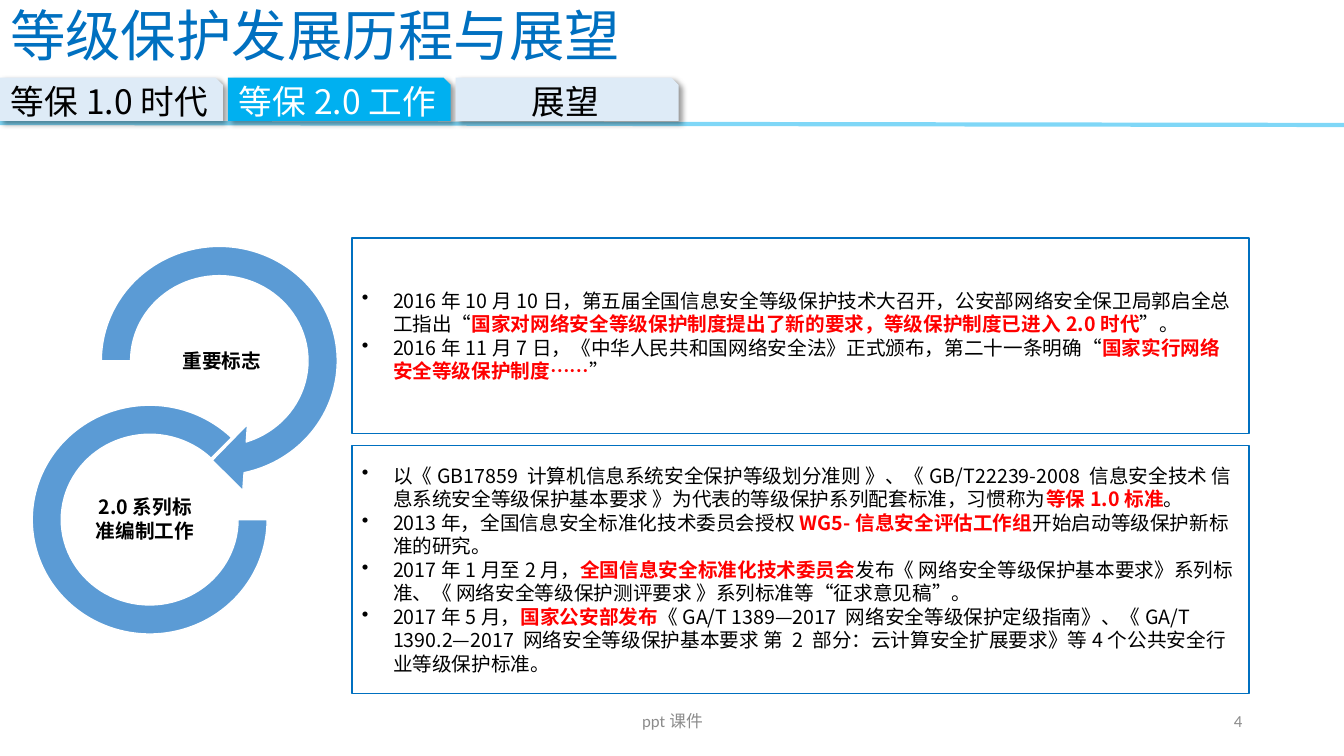
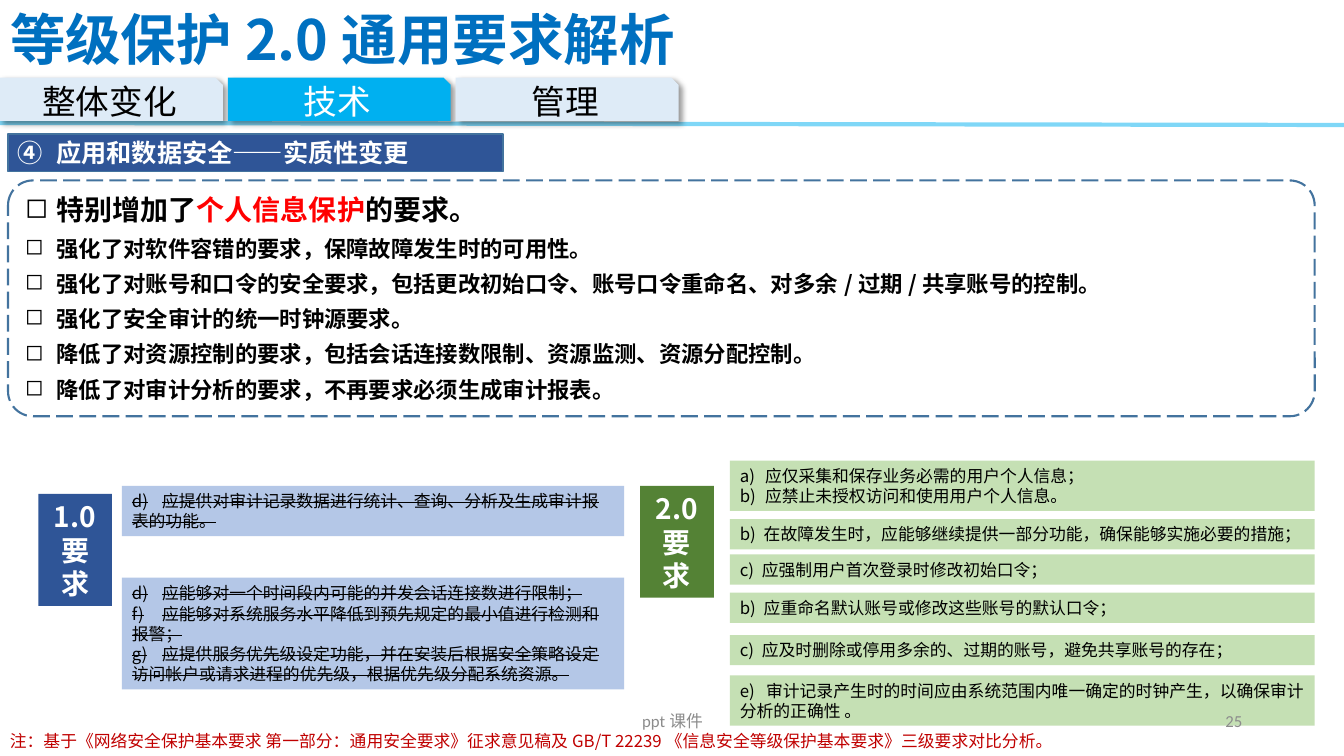
import lxml.etree
import pptx
import pptx.dml.color
import pptx.enum.dml
import pptx.enum.shapes
import pptx.enum.text
import pptx.oxml.ns
import pptx.util

EMU_PER_PX = 9144  # 100 px to the inch
COLORS = {
    "title": "0070C0", "accent": "00B0F0", "tab": "DEEBF7", "white": "FFFFFF",
    "black": "000000", "red": "FF0000", "note": "C00000", "footer": "8C8C8C",
    "ring": "5B9BD5", "outline": "43739E", "navy": "2F5597", "green": "548235",
    "old_card": "B4C7E7", "new_card": "C5E0B4",
}
FONT = "Noto Sans CJK SC"
FOOTER_FONT = "Calibri"

ALIGN = pptx.enum.text.PP_ALIGN
ANCHOR = pptx.enum.text.MSO_ANCHOR
SHAPE = pptx.enum.shapes.MSO_SHAPE

DOT = ("buChar", {"char": "•"})
SQUARE = ("buChar", {"char": "◻"})
LETTER = ("buAutoNum", {"type": "alphaLcParenR"})
CIRCLED_FOUR = ("buAutoNum", {"type": "circleNumDbPlain", "startAt": "4"})


def px(length):
    return pptx.util.Emu(length * EMU_PER_PX)


def rgb(name):
    return pptx.dml.color.RGBColor.from_string(COLORS[name])


def add_xml(parent, tag, **attributes):
    return lxml.etree.SubElement(parent, pptx.oxml.ns.qn("a:" + tag), attributes)


class Deck:
    """Holds the shared style and the slide being built."""

    def __init__(self):
        self.presentation = pptx.Presentation()
        self.presentation.slide_width = px(1333)
        self.presentation.slide_height = px(750)
        self.slide = None

    def add_slide(self, title, tabs, active_tab, bold=False, line_spacing=1.0):
        layout = self.presentation.slide_layouts[5]
        self.slide = self.presentation.slides.add_slide(layout)
        self.header_line()
        for index, label in enumerate(tabs):
            self.tab(index, label, index == active_tab)
        placeholder = self.slide.shapes.title
        placeholder.left, placeholder.top = px(0), px(1)
        placeholder.width, placeholder.height = px(861), px(75)
        self.set_text(placeholder, [[title]], 39.6, "title", bold=bold,
                      line_spacing=line_spacing)

    def header_line(self):
        line = self.slide.shapes.add_connector(
            pptx.enum.shapes.MSO_CONNECTOR.STRAIGHT, px(0), px(122), px(1333), px(124))
        line.line.width = pptx.util.Pt(3)
        line.line.color.rgb = rgb("accent")
        properties = line._element.spPr
        color = properties.find(".//" + pptx.oxml.ns.qn("a:srgbClr"))
        add_xml(color, "alpha", val="50000")
        add_xml(properties, "effectLst")

    def tab(self, index, label, active):
        shape = self.shape(SHAPE.SNIP_1_RECTANGLE, (226 * index, 77, 221, 43),
                           "accent" if active else "tab")
        effects = shape._element.spPr.find(pptx.oxml.ns.qn("a:effectLst"))
        shadow = add_xml(effects, "outerShdw", blurRad="50800", dist="38100",
                         dir="2700000", algn="tl", rotWithShape="0")
        add_xml(add_xml(shadow, "srgbClr", val=COLORS["black"]), "alpha", val="40000")
        self.set_text(shape, [[label]], 24, "white" if active else "black",
                      align=ALIGN.CENTER)

    def shape(self, kind, box, fill=None, line=None, width=1, adjustments=()):
        shape = self.slide.shapes.add_shape(kind, *map(px, box))
        shape.shadow.inherit = False
        for index, value in enumerate(adjustments):
            shape.adjustments[index] = value
        if fill:
            shape.fill.solid()
            shape.fill.fore_color.rgb = rgb(fill)
        else:
            shape.fill.background()
        if line:
            shape.line.color.rgb = rgb(line)
            shape.line.width = pptx.util.Pt(width)
        else:
            shape.line.fill.background()
        return shape

    def panel(self, box, paragraphs, size, color="black", fill=None, line=None, **style):
        shape = self.shape(SHAPE.RECTANGLE, box, fill, line)
        self.set_text(shape, paragraphs, size, color, **style)

    def label(self, box, text, size, color="black", margin=None, **style):
        shape = self.slide.shapes.add_textbox(*map(px, box))
        if margin is not None:
            frame = shape.text_frame
            frame.margin_left = frame.margin_right = px(margin)
            frame.margin_top = frame.margin_bottom = px(margin)
        self.set_text(shape, [[text]], size, color, **style)

    def footer(self, number):
        style = {"size": 12, "color": "footer", "font": FOOTER_FONT}
        self.label((942, 695, 300, 40), number, align=ALIGN.RIGHT, **style)
        self.label((442, 695, 450, 40), "ppt课件", align=ALIGN.CENTER, **style)

    def set_text(self, shape, paragraphs, size, color, first_size=None, bold=False,
                 bold_red=False, strike=False, font=FONT, align=ALIGN.LEFT,
                 anchor=ANCHOR.MIDDLE, bullet=None, indent=0, tab_stop=0,
                 space_after=0, line_spacing=None):
        """Each paragraph is a list of runs: plain and red in turn."""
        frame = shape.text_frame
        frame.word_wrap = True
        frame.auto_size = pptx.enum.text.MSO_AUTO_SIZE.NONE
        frame.vertical_anchor = anchor
        for number, texts in enumerate(paragraphs):
            paragraph = frame.add_paragraph() if number else frame.paragraphs[0]
            paragraph.alignment = align
            paragraph.space_after = pptx.util.Pt(space_after)
            if line_spacing:
                paragraph.line_spacing = line_spacing
            properties = paragraph._p.get_or_add_pPr()
            if bullet:
                properties.set("marL", str(px(indent)))
                properties.set("indent", str(-px(indent)))
                add_xml(properties, bullet[0], **bullet[1])
            if tab_stop:
                add_xml(add_xml(properties, "tabLst"), "tab", pos=str(px(tab_stop)), algn="l")
            for index, text in enumerate(texts):
                red = index % 2 == 1
                run = paragraph.add_run()
                run.text = text
                run.font.size = pptx.util.Pt(first_size if first_size and not number else size)
                run.font.bold = bold or (bold_red and red)
                run.font.color.rgb = rgb("red" if red else color)
                run.font.name = font
                run_properties = run._r.get_or_add_rPr()
                run_properties.set("lang", "zh-CN")
                if strike:
                    run_properties.set("strike", "sngStrike")
                add_xml(run_properties, "ea", typeface=font)


def build_history(deck):
    deck.add_slide("等级保护发展历程与展望", ["等保1.0时代", "等保2.0工作", "展望"], 1,
                   line_spacing=0.9)

    # Milestones and standards
    milestones = [
        ["2016年10月10日，第五届全国信息安全等级保护技术大召开，公安部网络安全保卫局郭启全总工指出“",
         "国家对网络安全等级保护制度提出了新的要求，等级保护制度已进入2.0时代", "”。"],
        ["2016年11月7日，《中华人民共和国网络安全法》正式颁布，第二十一条明确“",
         "国家实行网络安全等级保护制度……", "”"],
    ]
    standards = [
        ["以《GB17859 计算机信息系统安全保护等级划分准则 》、《GB/T22239-2008 信息安全技术 "
         "信息系统安全等级保护基本要求 》为代表的等级保护系列配套标准，习惯称为",
         "等保1.0标准", "。"],
        ["2013年，全国信息安全标准化技术委员会授权", "WG5-信息安全评估工作组",
         "开始启动等级保护新标准的研究。"],
        ["2017年1月至2月，", "全国信息安全标准化技术委员会",
         "发布《 网络安全等级保护基本要求》系列标准、《 网络安全等级保护测评要求 》"
         "系列标准等“征求意见稿”。"],
        ["2017年5月，", "国家公安部发布",
         "《GA/T 1389—2017 网络安全等级保护定级指南》、《GA/T 1390.2—2017 "
         "网络安全等级保护基本要求 第 2 部分：云计算安全扩展要求》等4个公共安全行业等级保护标准。"],
    ]
    for top, height, paragraphs in [(236, 194, milestones), (442, 246, standards)]:
        deck.panel((349, top, 890, height), paragraphs, 14, fill="white", line="title",
                   bold_red=True, bullet=DOT, indent=31)

    # Linked rings
    deck.shape(SHAPE.CIRCULAR_ARROW, (82, 226, 271, 264), "ring", "white",
               adjustments=(0.11, 11.42, 45, 108, 0.125))
    deck.shape(SHAPE.BLOCK_ARC, (32, 402, 233, 227), "ring", "white",
               adjustments=(0, 189, 0.127))
    for box, text in [((136, 331, 168, 53), "重要标志"),
                      ((91, 488, 106, 53), "2.0系列标准编制工作")]:
        deck.label(box, text, 14, margin=1, bold=True, align=ALIGN.CENTER)

    deck.footer("4")


def build_requirements(deck):
    deck.add_slide("等级保护2.0通用要求解析", ["整体变化", "技术", "管理"], 1, bold=True)

    # Section heading and summary of changes
    deck.panel((8, 133, 491, 37), [["应用和数据安全——实质性变更"]], 18, "white", "navy",
               "outline", bold=True, bullet=CIRCLED_FOUR, indent=38, align=ALIGN.JUSTIFY)
    summary = deck.shape(SHAPE.ROUNDED_RECTANGLE, (8, 179, 1296, 234), line="outline",
                         width=1.5, adjustments=(0.106,))
    summary.line.dash_style = pptx.enum.dml.MSO_LINE.LONG_DASH
    deck.set_text(summary, [
        ["特别增加了", "个人信息保护", "的要求。"],
        ["强化了对软件容错的要求，保障故障发生时的可用性。"],
        ["强化了对账号和口令的安全要求，包括更改初始口令、账号口令重命名、对多余/过期/共享账号的控制。"],
        ["强化了安全审计的统一时钟源要求。"],
        ["降低了对资源控制的要求，包括会话连接数限制、资源监测、资源分配控制。"],
        ["降低了对审计分析的要求，不再要求必须生成审计报表。"],
    ], 16, "black", first_size=20, bold=True, bullet=SQUARE, indent=31, space_after=6,
        align=ALIGN.JUSTIFY, anchor=ANCHOR.TOP)

    # Version badges
    for left, top, version, fill in [(38, 490, "1.0", "navy"), (635, 482, "2.0", "green")]:
        deck.panel((left, top, 73, 111), [[version], ["要求"]], 20, "white", fill,
                   bold=True, align=ALIGN.CENTER)

    # Dropped requirements
    dropped = [
        (482, 50, [["d)\t应提供对审计记录数据进行统计、查询、分析及生成审计报表的功能。"]]),
        (573, 111, [
            ["d)\t应能够对一个时间段内可能的并发会话连接数进行限制；"],
            ["f)\t应能够对系统服务水平降低到预先规定的最小值进行检测和报警；"],
            ["g)\t应提供服务优先级设定功能，并在安装后根据安全策略设定访问帐户或请求进程的优先级，"
             "根据优先级分配系统资源。"],
        ]),
    ]
    for top, height, paragraphs in dropped:
        deck.panel((121, top, 498, height), paragraphs, 12, fill="old_card",
                   strike=True, tab_stop=30)

    # New requirements
    deck.panel((724, 457, 580, 50),
               [["应仅采集和保存业务必需的用户个人信息；"], ["应禁止未授权访问和使用用户个人信息。"]],
               12, fill="new_card", bullet=LETTER, indent=25)
    added = [
        (515, 30, "b) 在故障发生时，应能够继续提供一部分功能，确保能够实施必要的措施；"),
        (550, 30, "c) 应强制用户首次登录时修改初始口令；"),
        (588, 30, "b) 应重命名默认账号或修改这些账号的默认口令；"),
        (630, 30, "c) 应及时删除或停用多余的、过期的账号，避免共享账号的存在；"),
        (670, 50, "e)\t审计记录产生时的时间应由系统范围内唯一确定的时钟产生，以确保审计分析的正确性 。"),
    ]
    for top, height, text in added:
        deck.panel((724, top, 580, height), [[text]], 12, fill="new_card", tab_stop=26)

    # Source note
    deck.label((0, 720, 1200, 30),
               "注：基于《网络安全保护基本要求 第一部分：通用安全要求》征求意见稿及GB/T 22239"
               "《信息安全等级保护基本要求》三级要求对比分析。", 12, "note", anchor=ANCHOR.TOP)
    deck.footer("25")


def main():
    deck = Deck()
    build_history(deck)
    build_requirements(deck)
    deck.presentation.save("out.pptx")


if __name__ == "__main__":
    main()
